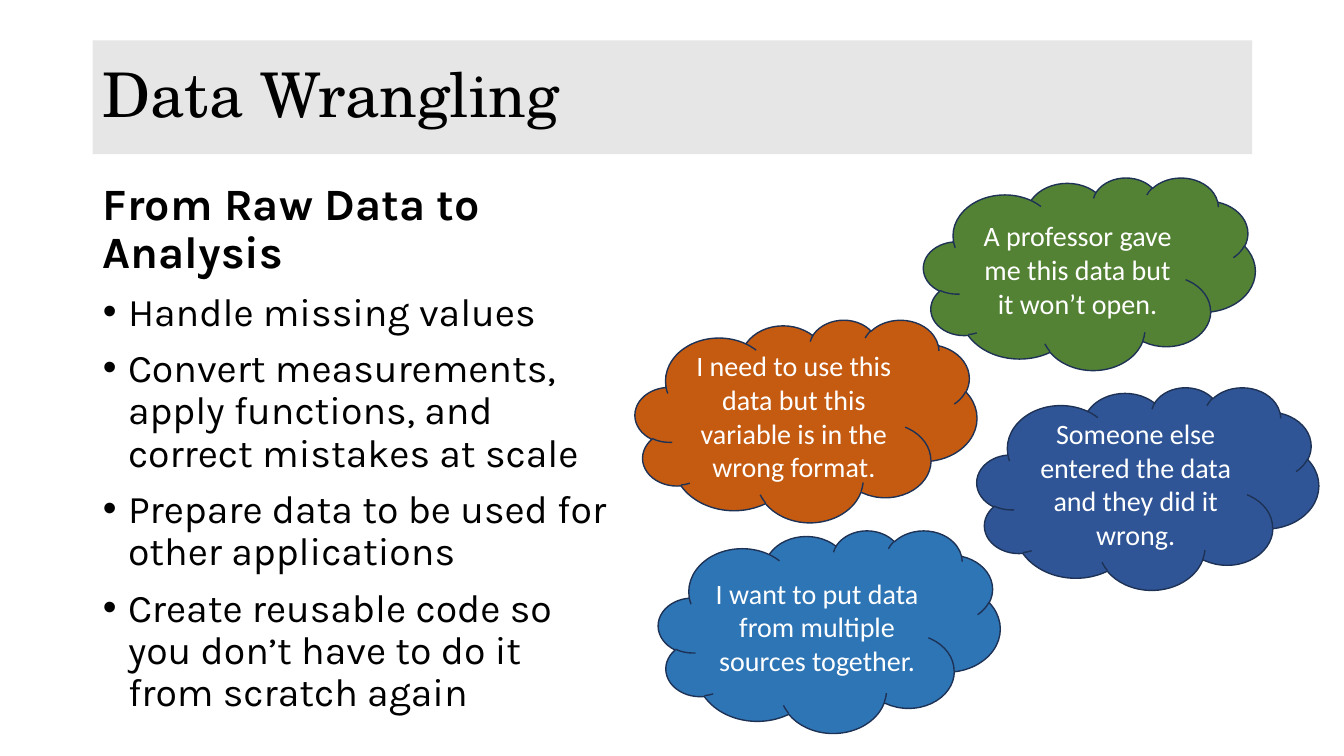
from dataclasses import dataclass

from lxml import etree
from pptx import Presentation
from pptx.dml.color import RGBColor
from pptx.enum.shapes import MSO_SHAPE
from pptx.enum.text import MSO_ANCHOR, MSO_AUTO_SIZE, PP_ALIGN
from pptx.oxml.ns import qn
from pptx.shapes.base import BaseShape
from pptx.slide import Slide
from pptx.text.text import TextFrame, _Paragraph
from pptx.util import Inches, Pt

CLOUD = MSO_SHAPE.CLOUD
LEFT, CENTER = PP_ALIGN.LEFT, PP_ALIGN.CENTER
TOP, MIDDLE = MSO_ANCHOR.TOP, MSO_ANCHOR.MIDDLE
NO_FIT = MSO_AUTO_SIZE.NONE

WIDTH, HEIGHT = Inches(13.33), Inches(7.5)


@dataclass(frozen=True)
class Style:
    face: str
    size: int
    color: str
    bold: bool = False


@dataclass(frozen=True)
class Theme:
    title: Style = Style("TeX Gyre Schola", 44, "000000")
    lead: Style = Style("Karla", 32, "000000", True)
    item: Style = Style("Karla", 28, "000000")
    cloud: Style = Style("Calibri", 20, "FFFFFF")
    band: str = "E7E6E6"
    edge: str = "1E3256"
    green: str = "548235"
    orange: str = "C55A11"
    navy: str = "2F5597"
    blue: str = "2E75B6"


@dataclass(frozen=True)
class Box:
    """A place in percent of the slide's width and height."""
    x: float
    y: float
    w: float
    h: float


@dataclass(frozen=True)
class Cloud:
    text: str
    fill: str
    x: float
    y: float
    w: float = 25.43
    h: float = 26.8


THEME = Theme()
TITLE_BOX = Box(6.9, 5.33, 86.27, 15.07)
BODY_BOX = Box(6.9, 23.33, 39.61, 74.67)
LEAD = "From Raw Data to Analysis"
ITEMS = (
    "Handle missing values",
    "Convert measurements, apply functions, and correct mistakes at scale",
    "Prepare data to be used for other applications",
    "Create reusable code so you don’t have to do it from scratch again",
)
CLOUDS = (
    Cloud("A professor gave me this data but it won’t open.",
          THEME.green, 68.72, 23.47, 24.68, 25.47),
    Cloud("I need to use this data but this variable is in the wrong format.",
          THEME.orange, 47.26, 42.27),
    Cloud("Someone else entered the data and they did it wrong.",
          THEME.navy, 72.69, 51.2),
    Cloud("I want to put data from multiple sources together.",
          THEME.blue, 48.99, 70.13),
)


def place(shape: BaseShape, box: Box | Cloud) -> None:
    shape.left, shape.width = (int(WIDTH * n / 100) for n in (box.x, box.w))
    shape.top, shape.height = (int(HEIGHT * n / 100) for n in (box.y, box.h))


def paint(shape: BaseShape, color: str) -> None:
    shape.fill.solid()
    shape.fill.fore_color.rgb = RGBColor.from_string(color)


def set_frame(frame: TextFrame, anchor: MSO_ANCHOR) -> None:
    frame.word_wrap = True
    frame.auto_size = NO_FIT
    frame.vertical_anchor = anchor


def write(para: _Paragraph, text: str, style: Style, align: PP_ALIGN,
          pitch: float = 1.0, before: int = 0) -> None:
    para.alignment = align
    para.line_spacing = pitch
    para.space_before = Pt(before)
    run = para.add_run()
    run.text = text
    font = run.font
    font.name, font.size, font.bold = style.face, Pt(style.size), style.bold
    font.color.rgb = RGBColor.from_string(style.color)


def set_mark(para: _Paragraph, mark: str = "") -> None:
    """Give the paragraph a hanging bullet, or none if mark is empty."""
    props = para._p.get_or_add_pPr()
    hang = Inches(0.25) if mark else 0
    props.set("marL", str(hang))
    props.set("indent", str(-hang))
    if mark:
        etree.SubElement(props, qn("a:buChar")).set("char", mark)
    else:
        etree.SubElement(props, qn("a:buNone"))


def add_title(slide: Slide) -> None:
    title = slide.shapes.title
    place(title, TITLE_BOX)
    paint(title, THEME.band)
    set_frame(title.text_frame, MIDDLE)
    write(title.text_frame.paragraphs[0], "Data Wrangling", THEME.title,
          LEFT, 0.9)


def add_body(slide: Slide) -> None:
    body = slide.placeholders[1]
    place(body, BODY_BOX)
    frame = body.text_frame
    set_frame(frame, TOP)
    lead = frame.paragraphs[0]
    set_mark(lead)
    write(lead, LEAD, THEME.lead, LEFT, 0.9)
    for text in ITEMS:
        para = frame.add_paragraph()
        set_mark(para, "•")
        write(para, text, THEME.item, LEFT, 0.9, 10)


def add_cloud(slide: Slide, cloud: Cloud) -> None:
    shape = slide.shapes.add_shape(CLOUD, 0, 0, 0, 0)
    place(shape, cloud)
    paint(shape, cloud.fill)
    shape.shadow.inherit = False
    shape.line.color.rgb = RGBColor.from_string(THEME.edge)
    shape.line.width = Pt(1)
    set_frame(shape.text_frame, MIDDLE)
    write(shape.text_frame.paragraphs[0], cloud.text, THEME.cloud, CENTER)


def main() -> None:
    deck = Presentation()
    deck.slide_width, deck.slide_height = WIDTH, HEIGHT
    slide = deck.slides.add_slide(deck.slide_layouts[1])
    add_title(slide)
    add_body(slide)
    for cloud in CLOUDS:
        add_cloud(slide, cloud)
    deck.save("out.pptx")


if __name__ == "__main__":
    main()
